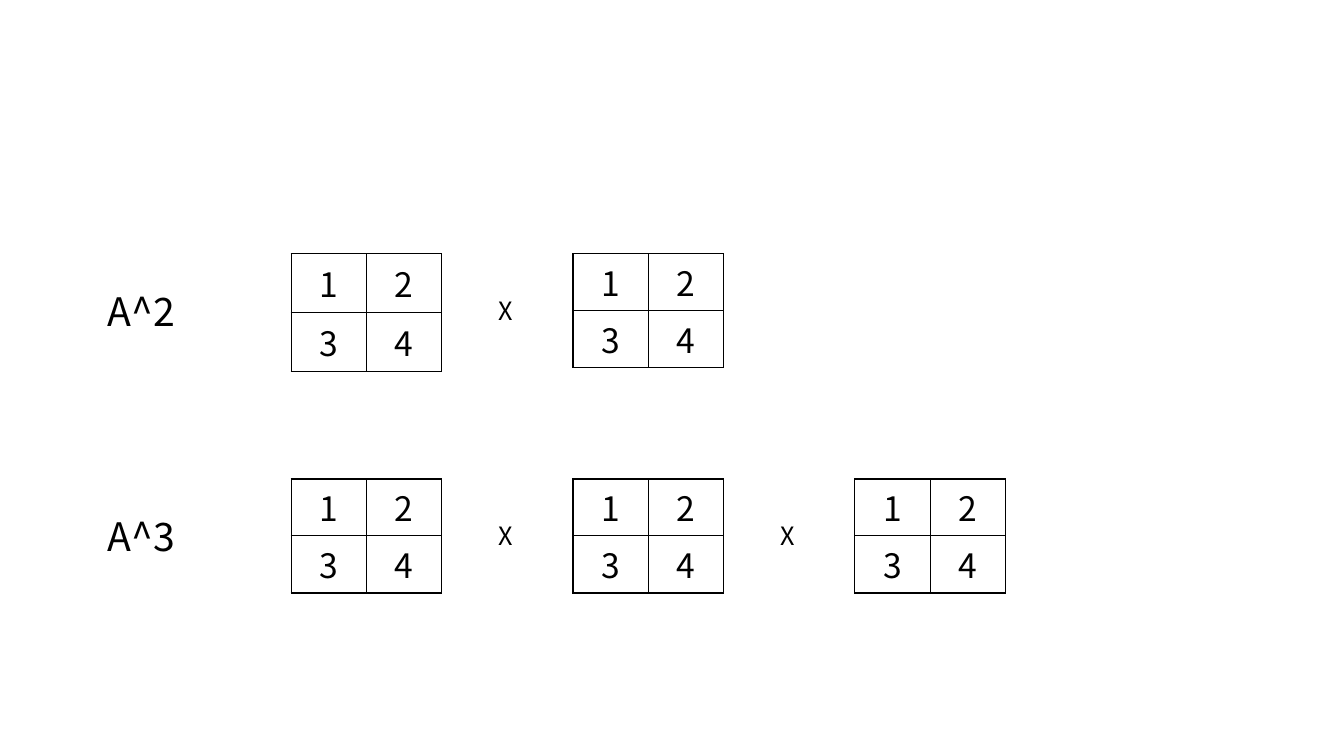
from dataclasses import dataclass

from lxml import etree
from pptx import Presentation
from pptx.dml.color import RGBColor
from pptx.enum.text import MSO_ANCHOR, MSO_AUTO_SIZE, PP_ALIGN
from pptx.oxml.ns import qn
from pptx.util import Pt

MIDDLE = MSO_ANCHOR.MIDDLE
CENTER = PP_ALIGN.CENTER
GROW = MSO_AUTO_SIZE.SHAPE_TO_FIT_TEXT


@dataclass(frozen=True)
class Theme:
    font: str = "Noto Sans CJK KR"
    ink: str = "000000"
    label: int = 28
    digit: int = 24
    times: int = 18
    line: int = 1


class Board:
    def __init__(self, slide, theme):
        self.slide = slide
        self.theme = theme

    def style(self, para, size):
        for run in para.runs:
            run.font.name = self.theme.font
            run.font.size = Pt(size)
            run.font.color.rgb = RGBColor.from_string(self.theme.ink)

    def text(self, words, left, top, width, height, size):
        box = self.slide.shapes.add_textbox(Pt(left), Pt(top), Pt(width), Pt(height))
        frame = box.text_frame
        frame.word_wrap = False
        frame.auto_size = GROW
        frame.text = words
        self.style(frame.paragraphs[0], size)

    def border(self, cell):
        props = cell._tc.get_or_add_tcPr()
        for side in ("lnL", "lnR", "lnT", "lnB"):
            line = etree.SubElement(props, qn(f"a:{side}"), w=str(Pt(self.theme.line)))
            fill = etree.SubElement(line, qn("a:solidFill"))
            etree.SubElement(fill, qn("a:srgbClr"), val=self.theme.ink)

    def matrix(self, values, left, top, width, heights):
        shape = self.slide.shapes.add_table(
            len(values), len(values[0]), Pt(left), Pt(top), Pt(width), Pt(sum(heights)))
        table = shape.table
        table.first_row = False
        table.horz_banding = False
        for col in table.columns:
            col.width = Pt(width / len(values[0]))
        for row, height, line in zip(table.rows, heights, values):
            row.height = Pt(height)
            for cell, value in zip(row.cells, line):
                cell.margin_top = cell.margin_bottom = Pt(2.7)
                cell.vertical_anchor = MIDDLE
                cell.text = str(value)
                para = cell.text_frame.paragraphs[0]
                para.alignment = CENTER
                self.style(para, self.theme.digit)
                self.border(cell)
                cell.fill.background()

    def power(self, count, top, sizes):
        self.text(f"A^{count}", 69.84, top + 20.2, 68.4, 41, self.theme.label)
        for index, heights in enumerate(sizes):
            left = 208 + index * 201.3
            self.matrix(VALUES, left, top, 107.6, heights)
            if index:
                self.text("X", left - 60, top + 26.2, 25.2, 28.8, self.theme.times)


VALUES = [(1, 2), (3, 4)]
TALL = (42.1, 42.1)
SHORT = (40.4, 41)


def main():
    deck = Presentation()
    deck.slide_width, deck.slide_height = Pt(960), Pt(540)
    board = Board(deck.slides.add_slide(deck.slide_layouts[6]), Theme())
    board.power(2, 181.3, [TALL, SHORT])
    board.power(3, 342.2, [SHORT] * 3)
    deck.save("out.pptx")


if __name__ == "__main__":
    main()
